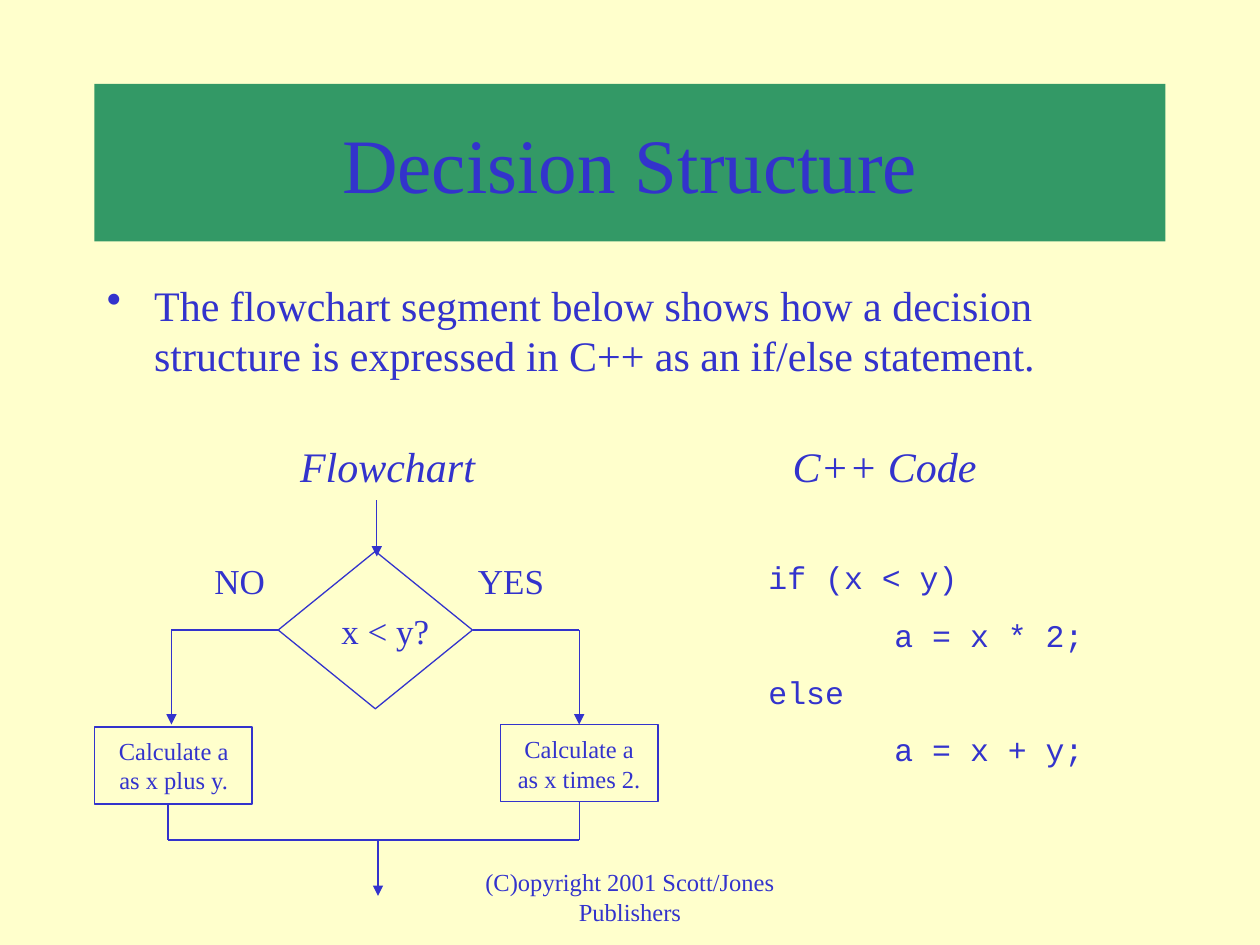
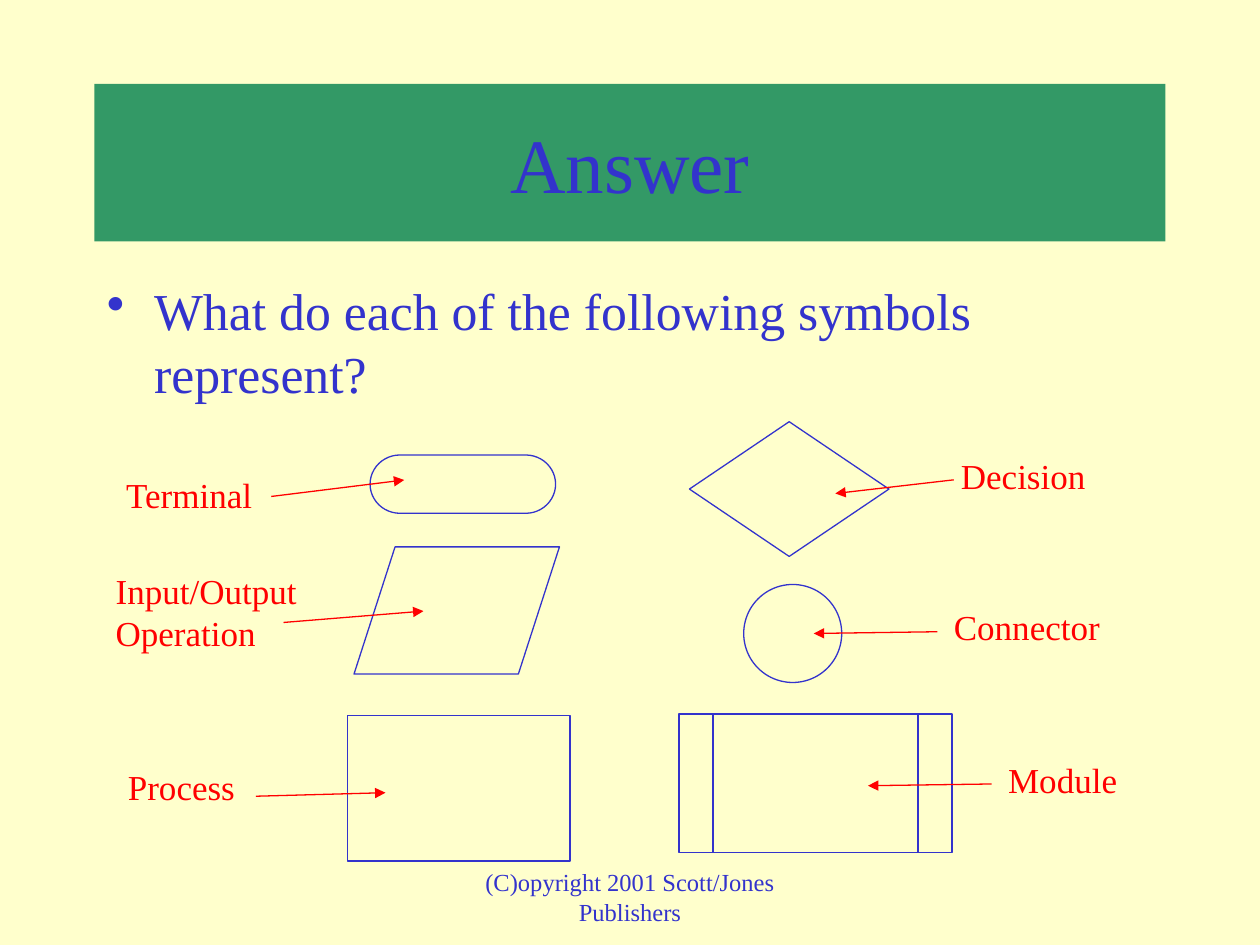
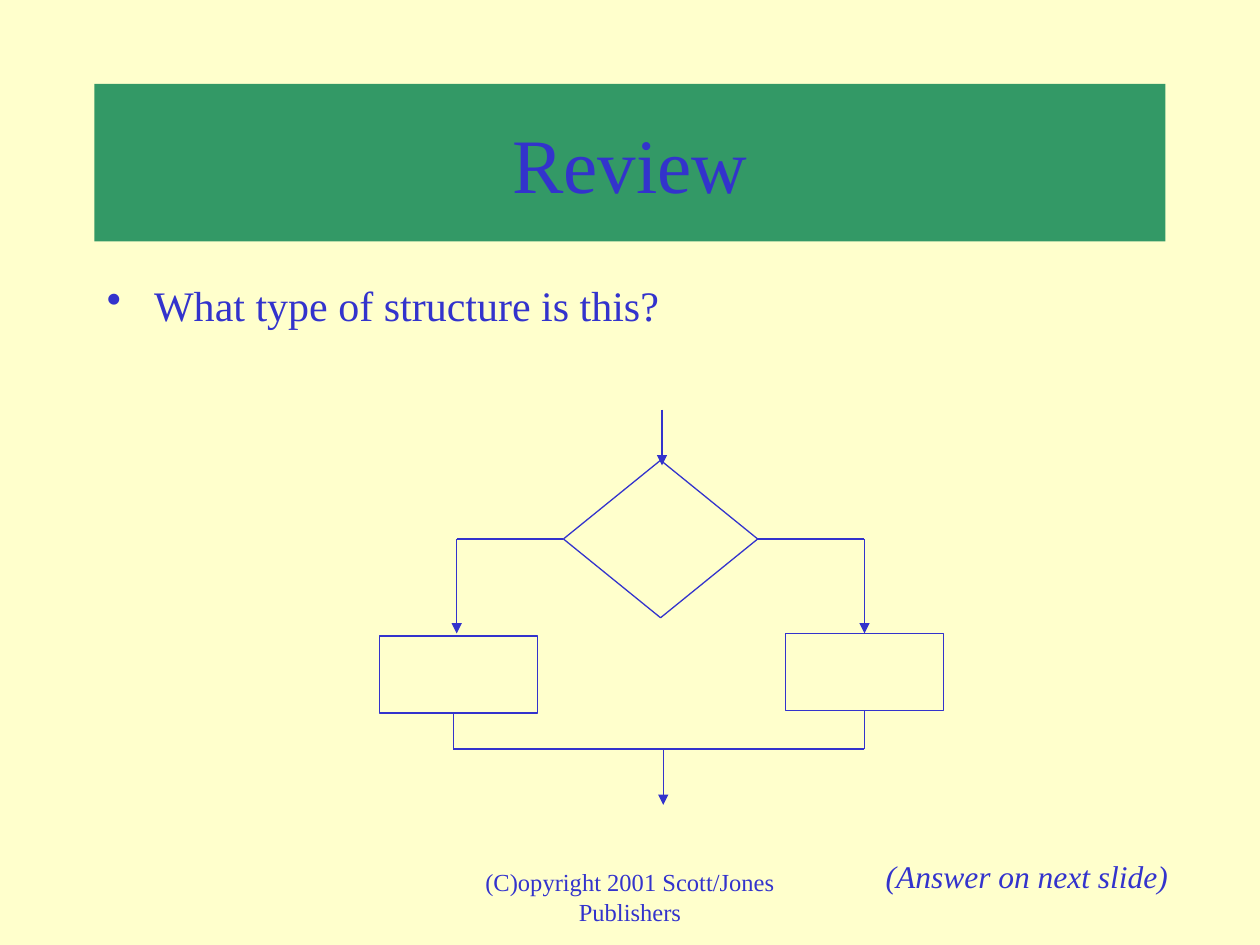
from dataclasses import dataclass

from lxml.etree import SubElement
from pptx import Presentation
from pptx.dml.color import RGBColor
from pptx.enum.shapes import MSO_CONNECTOR, MSO_SHAPE
from pptx.enum.text import MSO_ANCHOR, PP_ALIGN
from pptx.oxml.ns import qn
from pptx.util import Pt


@dataclass(frozen=True)
class Theme:
    paper: RGBColor = RGBColor(0xFF, 0xFF, 0xCC)
    band: RGBColor = RGBColor(0x33, 0x99, 0x66)
    ink: RGBColor = RGBColor(0x33, 0x33, 0xCC)
    answer: RGBColor = RGBColor(0xFF, 0x00, 0x00)
    serif: str = "Times New Roman"
    mono: str = "Courier New"
    title: float = 44
    question: float = 29.6
    body: float = 24
    label: float = 20
    code: float = 18
    small: float = 14
    line: float = 0.75


THEME = Theme()
TOP, LEFT, BOTTOM, RIGHT = range(4)

# Content: boxes are left, top, width, height in points
FOOTER = "(C)opyright 2001 Scott/Jones Publishers"
TITLE_BOX = (54, 48, 612, 90)
BODY_BOX = (54, 156, 612, 324)
QUESTION_BOX = (54, 156, 612, 84)
FOOTER_BOX = (246, 492, 228, 36)

HEADINGS = [("Flowchart", (159, 248, 125, 36)), ("C++ Code", (443, 248, 125, 36))]
CODE = ["if (x < y)", "\ta = x * 2;", "else", "\ta = x + y;"]
CODE_BOX = (432, 315.5, 231, 127.5)

# Flowchart: positions count from its own top left corner
FLOW_DECISION = (105, 29, 111, 90)
FLOW_NO_STEP = (0, 129.5, 90, 44)
FLOW_YES_STEP = (232, 128, 90, 44)
FLOW_LABELS = [
    ("YES", (208, 30, 60, 32), THEME.label, PP_ALIGN.CENTER),
    ("NO", (53, 30, 60, 32), THEME.label, PP_ALIGN.CENTER),
    ("x < y?", (134, 59, 68, 32), THEME.label, PP_ALIGN.LEFT),
    ("Calculate a as x times 2.", (231, 130, 92, 41), THEME.small, PP_ALIGN.CENTER),
    ("Calculate a as x plus y.", (-0.7, 131, 92, 41), THEME.small, PP_ALIGN.CENTER),
]

# Symbols: name, name box, shape, shape box, arrow start, arrow end
SYMBOLS = [
    ("Terminal", (65, 267, 102, 32), MSO_SHAPE.FLOWCHART_TERMINATOR,
     (211.5, 260, 106, 33.3), (155, 283.7), (231, 274.3)),
    ("Input/Output Operation", (59, 322, 134, 55), MSO_SHAPE.FLOWCHART_DATA,
     (202.3, 312.5, 117.4, 72.7), (162, 355.7), (242, 349.2)),
    ("Process", (66, 434, 102, 32), MSO_SHAPE.RECTANGLE,
     (198.8, 409, 127, 83), (146.2, 455), (220.3, 453)),
    ("Decision", (542, 256.3, 102, 32), MSO_SHAPE.FLOWCHART_DECISION,
     (394, 241, 114, 77), (545, 274.2), (477.3, 282)),
    ("Connector", (538, 342.7, 102, 32), MSO_SHAPE.FLOWCHART_CONNECTOR,
     (425, 334, 56, 56), (535.7, 361), (465, 362)),
    ("Module", (569, 429.8, 102, 32), MSO_SHAPE.FLOWCHART_PREDEFINED_PROCESS,
     (388, 408, 156, 79), (566.7, 448), (496, 449)),
]


def assign(target, values):
    for key, value in values.items():
        setattr(target, key, value)


def points(numbers):
    return [Pt(number) for number in numbers]


def shift(box, origin):
    return (box[0] + origin[0], box[1] + origin[1], *box[2:])


# Text
def write(frame, lines, size, color=THEME.ink, align=PP_ALIGN.LEFT, font=THEME.serif,
          italic=False, gap=0, bullet=False, tab=None, anchor=MSO_ANCHOR.TOP):
    assign(frame, {"word_wrap": True, "vertical_anchor": anchor,
                   "margin_left": Pt(7.2), "margin_right": Pt(7.2),
                   "margin_top": Pt(3.6), "margin_bottom": Pt(3.6)})
    for index, line in enumerate(lines):
        paragraph = frame.paragraphs[0] if index == 0 else frame.add_paragraph()
        paragraph.alignment = align
        if index and gap:
            paragraph.space_before = Pt(gap)
        properties = paragraph._p.get_or_add_pPr()
        if bullet:
            properties.set("marL", str(Pt(27)))
            properties.set("indent", str(Pt(-27)))
            SubElement(properties, qn("a:buChar"), char="•")
        if tab:
            stops = SubElement(properties, qn("a:tabLst"))
            SubElement(stops, qn("a:tab"), pos=str(Pt(tab)), algn="l")
        run = paragraph.add_run()
        run.text = line
        assign(run.font, {"name": font, "size": Pt(size), "italic": italic})
        run.font.color.rgb = color


def add_text(slide, box, lines, size, **style):
    frame = slide.shapes.add_textbox(*points(box)).text_frame
    write(frame, lines, size, **style)


# Shapes and lines
def add_outline(slide, kind, box):
    outline = slide.shapes.add_shape(kind, *points(box))
    outline.shadow.inherit = False
    outline.fill.background()
    outline.line.color.rgb = THEME.ink
    outline.line.width = Pt(THEME.line)
    return outline


def add_line(slide, start, end, arrow=False, color=THEME.ink, begin=None, finish=None):
    connector = slide.shapes.add_connector(MSO_CONNECTOR.STRAIGHT, *points((*start, *end)))
    connector.line.color.rgb = color
    connector.line.width = Pt(THEME.line)
    if arrow:
        SubElement(connector.line._get_or_add_ln(), qn("a:tailEnd"), type="triangle")
    SubElement(connector._element.spPr, qn("a:effectLst"))
    if begin:
        connector.begin_connect(*begin)
    if finish:
        connector.end_connect(*finish)


def add_flowchart(slide, origin, labels=()):
    def line(start, end, **options):
        add_line(slide, shift(start, origin), shift(end, origin), **options)

    decision = add_outline(slide, MSO_SHAPE.FLOWCHART_DECISION, shift(FLOW_DECISION, origin))
    add_outline(slide, MSO_SHAPE.RECTANGLE, shift(FLOW_NO_STEP, origin))
    yes_step = add_outline(slide, MSO_SHAPE.RECTANGLE, shift(FLOW_YES_STEP, origin))

    left, top, width, height = FLOW_DECISION
    branch_y = top + height / 2
    no_x, no_exit_x, exit_x, merge_y = 44, 42, 162, 194
    step_left, step_top, step_width, step_height = FLOW_YES_STEP
    yes_x = step_left + step_width / 2
    step_bottom = step_top + step_height

    # Entry and branches
    line((161.3, 0), (161.3, 32), arrow=True)
    line((left, branch_y), (no_x, branch_y), begin=(decision, LEFT))
    line((no_x, branch_y), (no_x, step_top), arrow=True)
    line((yes_x, branch_y), (left + width, branch_y), finish=(decision, RIGHT))
    line((yes_x, branch_y), (yes_x, step_top), arrow=True, finish=(yes_step, TOP))
    # Merge and exit
    line((no_exit_x, step_bottom + 1), (no_exit_x, merge_y))
    line((yes_x, step_bottom), (yes_x, merge_y), begin=(yes_step, BOTTOM))
    line((yes_x, merge_y), (no_exit_x, merge_y))
    line((exit_x, merge_y), (exit_x, 226), arrow=True)

    for text, box, size, align in labels:
        add_text(slide, shift(box, origin), [text], size, align=align)


# Shared frame of every slide
def add_page(deck, title, body, size=THEME.body, body_box=BODY_BOX):
    slide = deck.slides.add_slide(deck.slide_layouts[6])
    band = slide.shapes.add_shape(MSO_SHAPE.RECTANGLE, *points(TITLE_BOX))
    band.shadow.inherit = False
    band.fill.solid()
    band.fill.fore_color.rgb = THEME.band
    band.line.fill.background()
    write(band.text_frame, [title], THEME.title, align=PP_ALIGN.CENTER,
          anchor=MSO_ANCHOR.MIDDLE)
    add_text(slide, body_box, [body], size, bullet=True)
    add_text(slide, FOOTER_BOX, [FOOTER], THEME.small, align=PP_ALIGN.CENTER)
    return slide


def main():
    deck = Presentation()
    assign(deck, {"slide_width": Pt(720), "slide_height": Pt(540)})
    paper = deck.slide_master.background.fill
    paper.solid()
    paper.fore_color.rgb = THEME.paper

    # Decision structure
    slide = add_page(deck, "Decision Structure",
                     "The flowchart segment below shows how a decision structure "
                     "is expressed in C++ as an if/else statement.")
    add_flowchart(slide, (54, 286), FLOW_LABELS)
    add_text(slide, CODE_BOX, CODE, THEME.code, font=THEME.mono, gap=11.2, tab=72)
    for heading, box in HEADINGS:
        add_text(slide, box, [heading], THEME.body, align=PP_ALIGN.CENTER, italic=True)

    # Symbols with their answers
    slide = add_page(deck, "Answer", "What do each of the following symbols represent?",
                     THEME.question, QUESTION_BOX)
    for name, name_box, kind, shape_box, start, end in SYMBOLS:
        add_outline(slide, kind, shape_box)
        add_text(slide, name_box, [name], THEME.label, color=THEME.answer)
        add_line(slide, start, end, arrow=True, color=THEME.answer)

    # Review question
    slide = add_page(deck, "Review", "What type of structure is this?")
    add_flowchart(slide, (217, 234))
    add_text(slide, (499, 486, 187, 29), ["(Answer on next slide)"], THEME.code, italic=True)

    deck.save("out.pptx")


if __name__ == "__main__":
    main()
